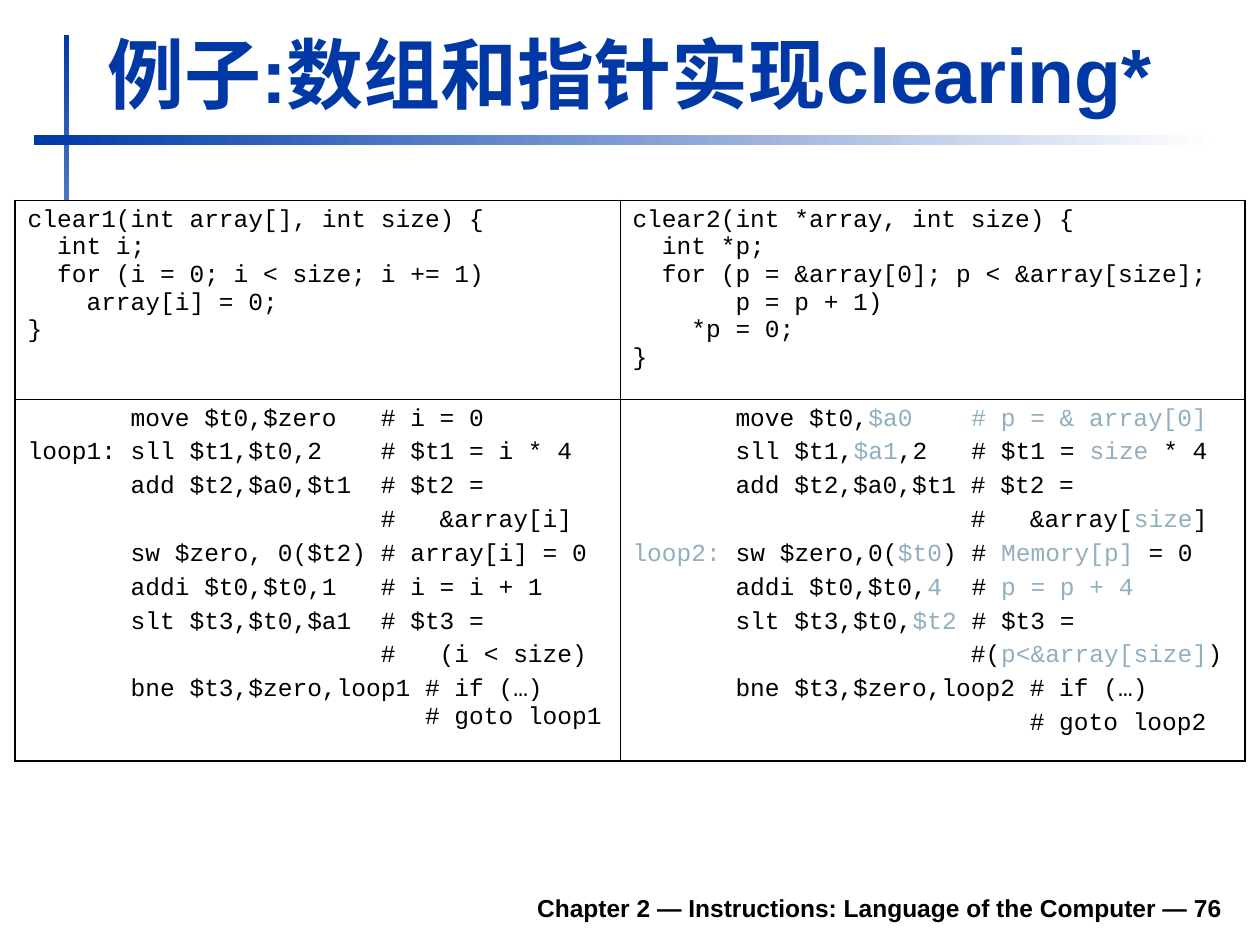
from pptx import Presentation
from pptx.dml.color import RGBColor
from pptx.enum.shapes import MSO_SHAPE
from pptx.enum.text import MSO_ANCHOR, PP_ALIGN
from pptx.oxml.ns import qn
from pptx.util import Inches, Pt
from lxml import etree

RECTANGLE = MSO_SHAPE.RECTANGLE
BOTTOM = MSO_ANCHOR.BOTTOM
LEFT, RIGHT = PP_ALIGN.LEFT, PP_ALIGN.RIGHT

THEME = {
    "blue": RGBColor(0x00, 0x39, 0xA6),
    "white": RGBColor(0xFF, 0xFF, 0xFF),
    "black": RGBColor(0x00, 0x00, 0x00),
    "accent": RGBColor(0x91, 0xAF, 0xBF),
    "text_font": "Arial",
    "code_font": "Courier New",
    "title_size": Pt(44),
    "body_size": Pt(14),
    "outer_border": Pt(1.08),
    "inner_border": Pt(0.45),
}

TITLE = "例子:数组和指针实现clearing*"
FOOTER = "Chapter 2 — Instructions: Language of the Computer — 76"

# Left, top, width, height and gradient angle (counter-clockwise)
BARS = [
    (0.51, 0.28, 0.04, 4.17, 270),
    (0.27, 1.07, 9.37, 0.08, 0),
]

# Text between two ACCENT_MARK characters takes the accent colour.
ACCENT_MARK = "~"
CODE_ROWS = [
    [
        [
            "clear1(int array[], int size) {",
            "  int i;",
            "  for (i = 0; i < size; i += 1)",
            "    array[i] = 0;",
            "}",
        ],
        [
            "clear2(int *array, int size) {",
            "  int *p;",
            "  for (p = &array[0]; p < &array[size];",
            "       p = p + 1)",
            "    *p = 0;",
            "}",
        ],
    ],
    [
        [
            "       move $t0,$zero   # i = 0",
            "loop1: sll $t1,$t0,2    # $t1 = i * 4",
            "       add $t2,$a0,$t1  # $t2 =",
            "                        #   &array[i]",
            "       sw $zero, 0($t2) # array[i] = 0",
            "       addi $t0,$t0,1   # i = i + 1",
            "       slt $t3,$t0,$a1  # $t3 =",
            "                        #   (i < size)",
            "       bne $t3,$zero,loop1 # if (…)\n"
            "                           # goto loop1",
        ],
        [
            "       move $t0,~$a0    # p = & array[0]~",
            "       sll $t1,~$a1~,2   # $t1 = ~size~ * 4",
            "       add $t2,$a0,$t1 # $t2 =",
            "                       #   &array[~size~]",
            "~loop2:~ sw $zero,0(~$t0~) # ~Memory[p]~ = 0",
            "       addi $t0,$t0,~4~  # ~p = p + 4~",
            "       slt $t3,$t0,~$t2~ # $t3 =",
            "                       #(~p<&array[size]~)",
            "       bne $t3,$zero,loop2 # if (…)",
            "                           # goto loop2",
        ],
    ],
]
COLUMN_WIDTHS = [4.8, 4.96]
ROW_HEIGHTS = [1.58, 2.87]
ROW_SPACING = [Pt(0), Pt(3.5)]


def style(font, name, size, color, bold=False):
    font.name, font.size, font.bold = name, size, bold
    font.color.rgb = color


def add_bar(slide, left, top, width, height, angle):
    bar = slide.shapes.add_shape(
        RECTANGLE, Inches(left), Inches(top), Inches(width), Inches(height))
    bar.shadow.inherit = False
    bar.line.fill.background()
    bar.fill.gradient()
    bar.fill.gradient_angle = angle
    for stop, color in zip(bar.fill.gradient_stops, ("blue", "white")):
        stop.color.rgb = THEME[color]


def add_title(slide):
    title = slide.shapes.title
    title.left, title.top = Inches(0.75), Inches(0.15)
    title.width, title.height = Inches(9.03), Inches(0.84)
    title.text_frame.text = TITLE
    title.text_frame.vertical_anchor = BOTTOM
    paragraph = title.text_frame.paragraphs[0]
    paragraph.alignment = LEFT
    style(paragraph.font, THEME["text_font"], THEME["title_size"], THEME["blue"], True)


def add_footer(slide):
    footer = slide.shapes.add_textbox(
        Inches(1.85), Inches(6.98), Inches(7.95), Inches(0.39))
    frame = footer.text_frame
    frame.word_wrap = True
    frame.vertical_anchor = BOTTOM
    frame.text = FOOTER
    paragraph = frame.paragraphs[0]
    paragraph.alignment = RIGHT
    style(paragraph.font, THEME["text_font"], THEME["body_size"], THEME["black"], True)


def write_code(frame, lines, spacing):
    for index, line in enumerate(lines):
        paragraph = frame.paragraphs[0] if index == 0 else frame.add_paragraph()
        paragraph.space_before = spacing if index else Pt(0)
        style(paragraph.font, THEME["code_font"], THEME["body_size"], THEME["black"])
        for part_index, part in enumerate(line.split(ACCENT_MARK)):
            for piece_index, piece in enumerate(part.split("\n")):
                if piece_index:
                    paragraph.add_line_break()
                if piece:
                    run = paragraph.add_run()
                    run.text = piece
                    if part_index % 2:
                        run.font.color.rgb = THEME["accent"]


def set_borders(cell, outer_sides):
    properties = cell._tc.get_or_add_tcPr()
    for side in "LRTB":
        width = THEME["outer_border" if side in outer_sides else "inner_border"]
        line = etree.SubElement(properties, qn(f"a:ln{side}"), w=str(int(width)))
        fill = etree.SubElement(line, qn("a:solidFill"))
        etree.SubElement(fill, qn("a:srgbClr"), val=str(THEME["black"]))


def add_code_table(slide):
    table = slide.shapes.add_table(
        len(ROW_HEIGHTS), len(COLUMN_WIDTHS), Inches(0.12), Inches(1.59),
        Inches(sum(COLUMN_WIDTHS)), Inches(sum(ROW_HEIGHTS))).table
    table.first_row = table.horz_banding = False
    for column, width in zip(table.columns, COLUMN_WIDTHS):
        column.width = Inches(width)
    for row_index, cells in enumerate(CODE_ROWS):
        table.rows[row_index].height = Inches(ROW_HEIGHTS[row_index])
        for column_index, lines in enumerate(cells):
            cell = table.cell(row_index, column_index)
            set_borders(cell, "TB"[row_index] + "LR"[column_index])
            cell.fill.solid()
            cell.fill.fore_color.rgb = THEME["white"]
            write_code(cell.text_frame, lines, ROW_SPACING[row_index])


def main():
    presentation = Presentation()
    presentation.slide_width, presentation.slide_height = Inches(10), Inches(7.5)
    slide = presentation.slides.add_slide(presentation.slide_layouts[5])
    for bar in BARS:
        add_bar(slide, *bar)
    add_footer(slide)
    add_title(slide)
    add_code_table(slide)
    presentation.save("out.pptx")


if __name__ == "__main__":
    main()
